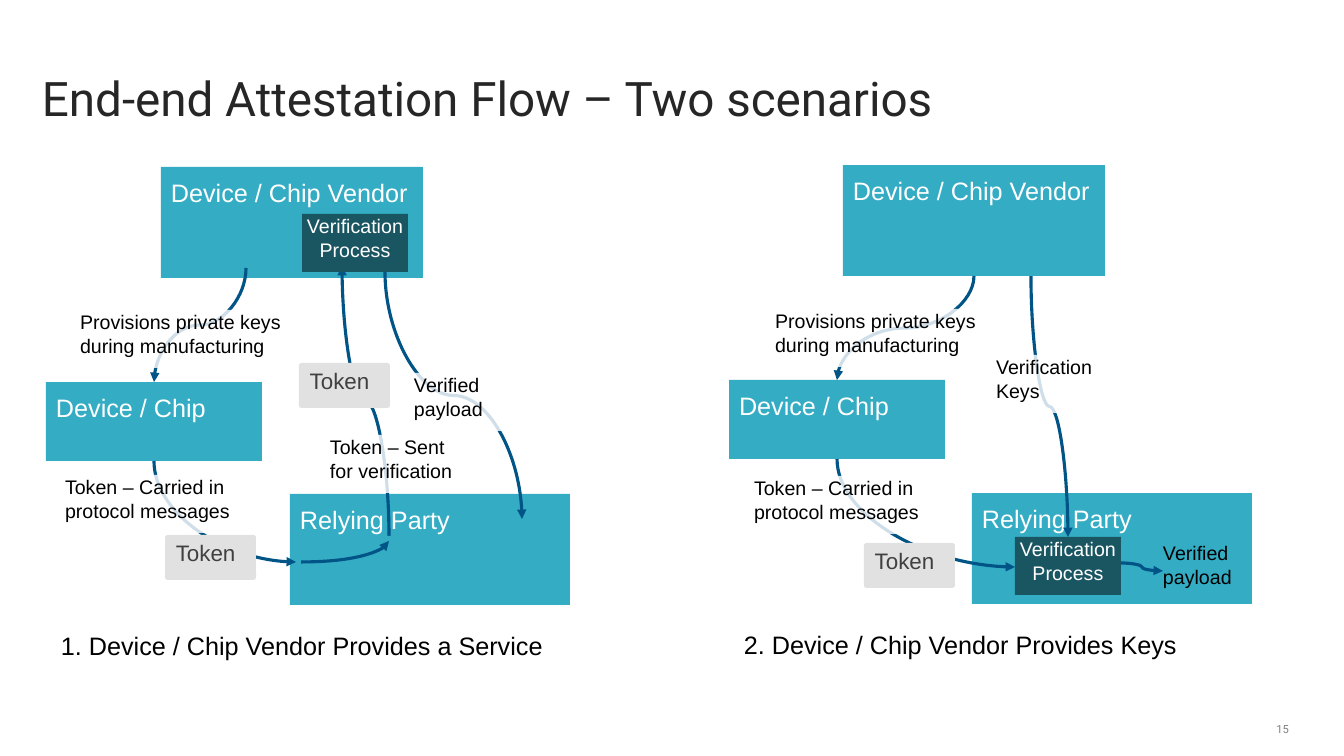
from lxml import etree
from pptx import Presentation, util as u
from pptx.dml.color import RGBColor
from pptx.enum import shapes, text
from pptx.oxml.ns import qn

TEAL, DARK_TEAL = RGBColor(0x33, 0xAC, 0xC4), RGBColor(0x1A, 0x56, 0x62)
NAVY, SILVER = RGBColor(0x01, 0x54, 0x86), RGBColor(0xE1, 0xE1, 0xE1)
WHITE, BLACK = RGBColor(0xFF, 0xFF, 0xFF), RGBColor(0, 0, 0)
INK, CHARCOAL, GREY = (RGBColor(v, v, v) for v in (0x26, 0x40, 0x80))

# Content, in px; the parts of each scenario run from back to front
TITLE = "End-end Attestation Flow – Two scenarios"
PAGE = "15"
PROVISION = "Provisions private keys during manufacturing"
CARRIED = "Token – Carried in protocol messages"
SERVICE = [
    ("vendor", "Device / Chip Vendor", 161, 167),
    ("device", "Device / Chip", 46, 382),
    ("relying", "Relying Party", 290, 494),
    ("s_curve", "down", (246, 268), (154, 382)),
    ("bend", "down", (154, 461), (296, 562)),
    ("s_curve", "down", (389, 536), (342, 266)),
    ("s_curve", "down", (385, 272), (522, 519)),
    ("process", "Verification Process", 302, 214),
    ("token", "Token", 165, 535),
    ("token", "Token", 299, 363),
    ("caption", "1. Device / Chip Vendor Provides a Service", 61, 630),
    ("wide_label", PROVISION, 80, 310),
    ("wide_label", CARRIED, 65, 475),
    ("label", "Token – Sent for verification", 330, 435),
    ("label", "Verified payload", 414, 373),
    ("bend", "across", (301, 562), (389, 541)),
    ("flat_gap", "", 376, 536),
    ("upright_gap", "", 296, 549),
]
KEYS = [
    ("vendor", "Device / Chip Vendor", 843, 165),
    ("device", "Device / Chip", 729, 380),
    ("relying", "Relying Party", 972, 493),
    ("s_curve", "down", (974, 276), (837, 380)),
    ("bend", "down", (837, 459), (1015, 567)),
    ("s_curve", "down", (1031, 276), (1068, 537)),
    ("token", "Token", 864, 543),
    ("process", "Verification Process", 1015, 537),
    ("caption", "2. Device / Chip Vendor Provides Keys", 744, 629),
    ("wide_label", PROVISION, 775, 309),
    ("wide_label", CARRIED, 754, 476),
    ("label", "Verification Keys", 996, 355),
    ("note", "Verified payload", 1163, 541),
    ("s_curve", "across", (1121, 563), (1163, 571)),
]

# Formats: size and insets in px, text size in points
PARTY = dict(fill=TEAL, inset=(10, 10), pt=18, color=WHITE)
LABEL = dict(fill=WHITE, alpha=81, inset=(0, 0), pt=14, color=BLACK)
FORMATS = {
    "vendor": dict(PARTY, size=(262, 111)),
    "device": dict(PARTY, size=(216, 79)),
    "relying": dict(PARTY, size=(280, 111)),
    "flat_gap": dict(PARTY, size=(26, 5)),
    "upright_gap": dict(PARTY, size=(5, 26)),
    "process": dict(size=(106, 58), fill=DARK_TEAL, inset=(0, 0), pt=14,
                    color=WHITE, paragraph=dict(alignment=text.PP_ALIGN.CENTER)),
    "token": dict(size=(91, 45), fill=SILVER, inset=(10, 5), pt=16, color=CHARCOAL,
                  radius=0.06, paragraph=dict(line_spacing=0.95, space_after=u.Pt(7.8))),
    "wide_label": dict(LABEL, size=(213, 58)),
    "label": dict(LABEL, size=(131, 58)),
    "note": dict(size=(131, 58), inset=(0, 0), pt=14, color=BLACK),
    "caption": dict(size=(482, 51), inset=(0, 0), pt=18, color=BLACK,
                    frame=dict(word_wrap=False)),
    "page": dict(size=(79, 15), inset=(0, 0), pt=8, color=GREY, font="Roboto",
                 frame=dict(vertical_anchor=text.MSO_ANCHOR.MIDDLE),
                 paragraph=dict(alignment=text.PP_ALIGN.RIGHT, line_spacing=1.25)),
    "title": dict(size=(1260, 101), inset=(0, 0), pt=34, color=INK, font="Roboto",
                  frame=dict(vertical_anchor=text.MSO_ANCHOR.BOTTOM),
                  paragraph=dict(line_spacing=0.82)),
}
CURVES = {"s_curve": "curvedConnector3", "bend": "curvedConnector2"}


def px(n):
    return round(n * 914400 / 100.8)


def set_all(target, values):
    for name, value in values.items():
        setattr(target, name, value)


def write(part, wording, fmt):
    frame = part.text_frame
    across, down = map(px, fmt["inset"])
    set_all(frame, {"word_wrap": True, "auto_size": text.MSO_AUTO_SIZE.NONE,
                    "vertical_anchor": text.MSO_ANCHOR.TOP,
                    "margin_left": across, "margin_right": across,
                    "margin_top": down, "margin_bottom": down, **fmt.get("frame", {})})
    frame.text = wording
    line = frame.paragraphs[0]
    set_all(line, {"alignment": text.PP_ALIGN.LEFT, **fmt.get("paragraph", {})})
    set_all(line.font, {"name": fmt.get("font", "Arial"), "size": u.Pt(fmt["pt"])})
    line.font.color.rgb = fmt["color"]


def add_part(slide, kind, wording, x, y):
    fmt = FORMATS[kind]
    box = [px(n) for n in (x, y, *fmt["size"])]
    if "fill" in fmt:
        rounded = "radius" in fmt
        outline = shapes.MSO_SHAPE.ROUNDED_RECTANGLE if rounded else shapes.MSO_SHAPE.RECTANGLE
        part = slide.shapes.add_shape(outline, *box)
        if rounded:
            part.adjustments[0] = fmt["radius"]
        part.shadow.inherit = False
        part.line.fill.background()
        part.fill.solid()
        part.fill.fore_color.rgb = fmt["fill"]
        if "alpha" in fmt:
            color = part._element.spPr.find(".//" + qn("a:srgbClr"))
            etree.SubElement(color, qn("a:alpha"), val=str(fmt["alpha"] * 1000))
    else:
        part = slide.shapes.add_textbox(*box)
    if wording:
        write(part, wording, fmt)


def add_flow(slide, kind, leaves, start, end):
    flow = slide.shapes.add_connector(
        shapes.MSO_CONNECTOR.CURVE, *map(px, start + end))
    dx, dy = end[0] - start[0], end[1] - start[1]
    props = flow._element.spPr
    # A curve that leaves vertically is a horizontal one given a quarter turn
    if leaves == "down":
        turn = 90 if dx < 0 < dy else 270
        along, aside = (dy, -dx) if turn == 90 else (-dy, dx)
        set_all(flow, {"left": px((start[0] + end[0] - abs(dy)) / 2),
                       "top": px((start[1] + end[1] - abs(dx)) / 2),
                       "width": px(abs(dy)), "height": px(abs(dx))})
    else:
        turn, along, aside = 0, dx, dy
    frame = props.find(qn("a:xfrm"))
    for name, value in (("rot", turn * 60000), ("flipH", int(along < 0)),
                        ("flipV", int(aside < 0))):
        frame.set(name, str(value))
    props.find(qn("a:prstGeom")).set("prst", CURVES[kind])
    flow.line.color.rgb = NAVY
    flow.line.width = u.Pt(2.25)
    etree.SubElement(props.find(qn("a:ln")), qn("a:tailEnd"), type="triangle")
    etree.SubElement(props, qn("a:effectLst"))


def main():
    deck = Presentation()
    deck.slide_width, deck.slide_height = px(1344), px(756)
    slide = deck.slides.add_slide(deck.slide_layouts[5])

    # Title and page number
    heading = slide.shapes.title
    width, height = FORMATS["title"]["size"]
    set_all(heading, {"left": px(42), "top": px(25),
                      "width": px(width), "height": px(height)})
    write(heading, TITLE, FORMATS["title"])
    add_part(slide, "page", PAGE, 1210, 720)

    # Both scenarios
    for kind, *details in SERVICE + KEYS:
        add = add_flow if kind in CURVES else add_part
        add(slide, kind, *details)
    deck.save("out.pptx")


if __name__ == "__main__":
    main()
